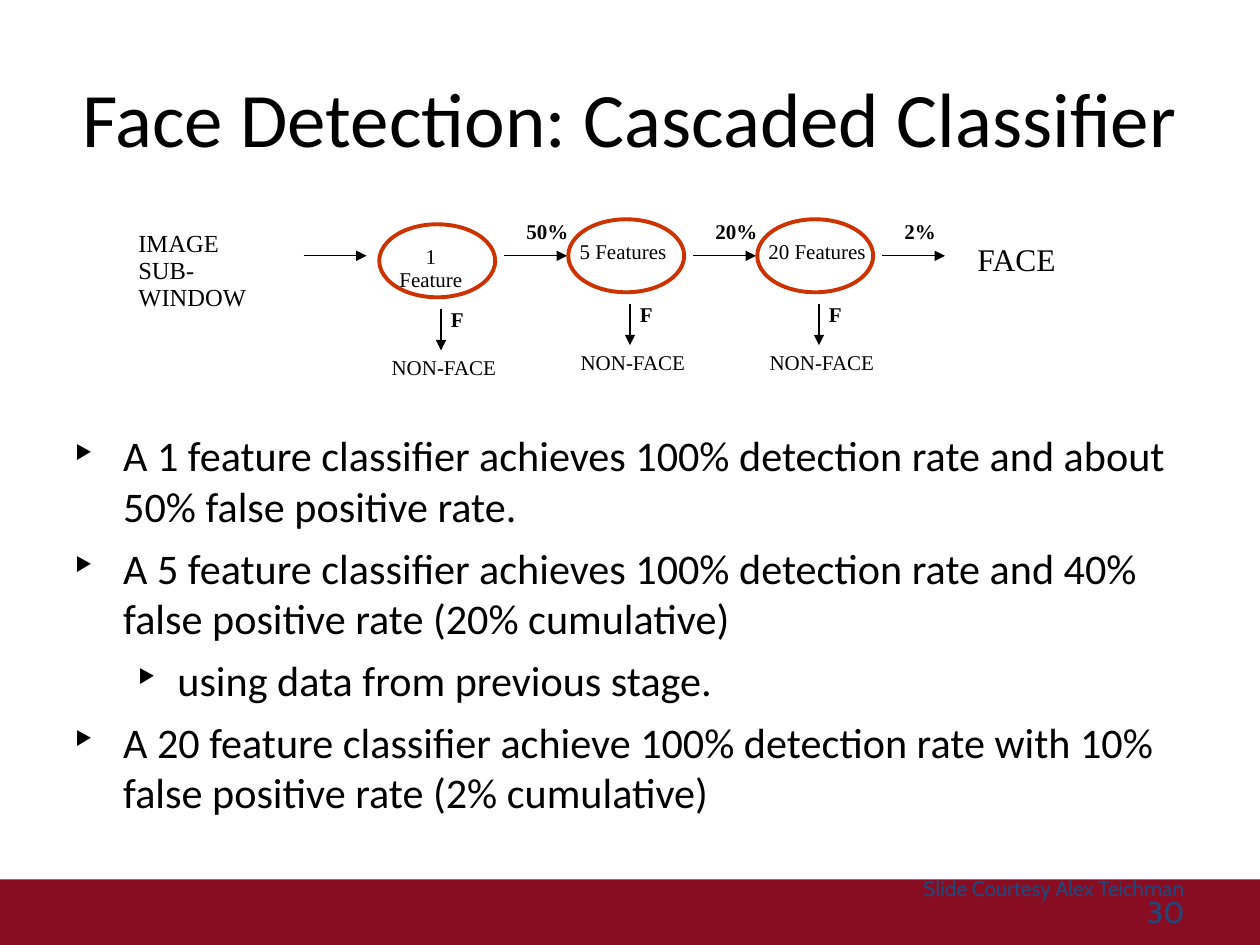
from pptx import Presentation
from pptx.dml.color import RGBColor
from pptx.enum.shapes import MSO_CONNECTOR, MSO_SHAPE
from pptx.enum.text import MSO_ANCHOR, PP_ALIGN
from pptx.oxml.ns import qn
from pptx.util import Inches, Pt
from lxml import etree

LEFT, CENTER, RIGHT = PP_ALIGN.LEFT, PP_ALIGN.CENTER, PP_ALIGN.RIGHT
TOP, MIDDLE = MSO_ANCHOR.TOP, MSO_ANCHOR.MIDDLE
STRAIGHT = MSO_CONNECTOR.STRAIGHT
RECTANGLE, OVAL = MSO_SHAPE.RECTANGLE, MSO_SHAPE.OVAL
color = RGBColor.from_string

presentation = Presentation()
presentation.slide_width, presentation.slide_height = Inches(10), Inches(7.5)
slide = presentation.slides.add_slide(presentation.slide_layouts[5])


def add_label(lines, left, top, width, height, size=12, bold=False, align=LEFT, wrap=False):
    frame = slide.shapes.add_textbox(
        Inches(left), Inches(top), Inches(width), Inches(height)).text_frame
    frame.word_wrap = wrap
    frame.vertical_anchor = TOP
    for index, line in enumerate(lines):
        paragraph = frame.paragraphs[0] if index == 0 else frame.add_paragraph()
        paragraph.text = line
        paragraph.alignment = align
        paragraph.line_spacing = 0.93
        font_format = {"name": "Times New Roman", "size": Pt(size), "bold": bold}
        for name, value in font_format.items():
            setattr(paragraph.font, name, value)
        paragraph.font.color.rgb = color("000000")
    return frame


def add_arrow(x1, y1, x2, y2):
    arrow = slide.shapes.add_connector(STRAIGHT, Inches(x1), Inches(y1), Inches(x2), Inches(y2))
    arrow.line.color.rgb = color("000000")
    arrow.line.width = Pt(0.75)
    etree.SubElement(arrow.line._get_or_add_ln(), qn("a:tailEnd"), type="triangle")
    etree.SubElement(arrow._element.spPr, qn("a:effectLst"))


# Footer band
band = slide.shapes.add_shape(RECTANGLE, 0, Inches(6.98), Inches(10), Inches(0.52))
band.shadow.inherit = False
band.fill.solid()
band.fill.fore_color.rgb = color("890D22")
band.line.fill.background()

# Title
title = slide.shapes.title
title_place = {"left": 0.5, "top": 0.3, "width": 9, "height": 1.25}
for name, value in title_place.items():
    setattr(title, name, Inches(value))
title.text_frame.text = "Face Detection: Cascaded Classifier"
title.text_frame.vertical_anchor = MIDDLE
paragraph = title.text_frame.paragraphs[0]
paragraph.alignment = CENTER
for name, value in {"name": "Calibri", "size": Pt(44)}.items():
    setattr(paragraph.font, name, value)
paragraph.font.color.rgb = color("000000")

# Cascade input and output
add_label(["IMAGE", "SUB-WINDOW"], 1, 1.78, 1.4, 0.57, size=14, wrap=True)
add_arrow(2.41, 2.03, 2.91, 2.03)
add_label(["FACE"], 7.66, 1.88, 0.84, 0.4, size=18)

# Cascade stages: label, label width, pass rate, vertical offset
stages = [
    ("1 Feature", 0.82, "50%", 0.04),
    ("5 Features", 0.89, "20%", 0),
    ("20 Features", 0.97, "2%", 0),
]
for index, (label, label_width, rate, offset) in enumerate(stages):
    left = 3.01 + 1.5 * index
    ellipse = slide.shapes.add_shape(
        OVAL, Inches(left), Inches(1.74 + offset), Inches(0.92), Inches(0.58))
    ellipse.shadow.inherit = False
    ellipse.fill.background()
    ellipse.line.color.rgb = color("CC3300")
    ellipse.line.width = Pt(2.25)
    add_label([label], left - (0.01 if index else 0), 1.86 + offset, label_width, 0.3,
              align=CENTER, wrap=index > 0)

    # Accepted windows go right, rejected ones go down
    add_arrow(left + 0.99, 2.03, left + 1.49, 2.03)
    add_label([rate], left + 1.07, 1.7, 0.53, 0.3, bold=True)
    add_arrow(left + 0.49, 2.41 + offset, left + 0.49, 2.74 + offset)
    add_label(["F"], left + 0.47, 2.36 + offset, 0.3, 0.3, bold=True)
    add_label(["NON-FACE"], left, 2.74 + offset, 1.04, 0.3)

# Bullets: level and text
bullets = [
    (0, "A 1 feature classifier achieves 100% detection rate and about 50% false positive rate."),
    (0, "A 5 feature classifier achieves 100% detection rate and 40% false positive rate "
        "(20% cumulative)"),
    (1, "using data from previous stage."),
    (0, "A 20 feature classifier achieve 100% detection rate with 10% false positive rate "
        "(2% cumulative)"),
]
indents = [(0.38, -0.38), (0.81, -0.31)]
body = slide.shapes.add_textbox(Inches(0.5), Inches(3.36), Inches(9), Inches(3.37)).text_frame
body.word_wrap = True
for index, (level, text) in enumerate(bullets):
    paragraph = body.paragraphs[0] if index == 0 else body.add_paragraph()
    paragraph.text = text
    paragraph.level = level
    paragraph.space_before = Pt(6.4 if index else 0)
    margin, indent = indents[level]
    properties = paragraph._p.get_or_add_pPr()
    properties.set("marL", str(Inches(margin)))
    properties.set("indent", str(Inches(indent)))
    bullet_color = etree.SubElement(properties, qn("a:buClr"))
    etree.SubElement(bullet_color, qn("a:srgbClr"), val="000000")
    etree.SubElement(properties, qn("a:buSzPct"), val="45000")
    etree.SubElement(properties, qn("a:buChar"), char="▶")
    for name, value in {"name": "Calibri", "size": Pt(24.1)}.items():
        setattr(paragraph.font, name, value)
    paragraph.font.color.rgb = color("000000")

# Credit and slide number
footer = slide.shapes.add_textbox(Inches(6.25), Inches(6.95), Inches(3.25), Inches(0.4)).text_frame
footer_format = {"word_wrap": True, "margin_top": 0, "margin_bottom": 0}
for name, value in footer_format.items():
    setattr(footer, name, value)
footer_lines = [("Slide Courtesy Alex Teichman", 12, 1), ("30", 17, 0.8)]
for index, (text, size, spacing) in enumerate(footer_lines):
    paragraph = footer.paragraphs[0] if index == 0 else footer.add_paragraph()
    paragraph.text = text
    paragraph.alignment = RIGHT
    paragraph.line_spacing = spacing
    for name, value in {"name": "Cabin", "size": Pt(size)}.items():
        setattr(paragraph.font, name, value)
    paragraph.font.color.rgb = color("1F497D")

presentation.save("out.pptx")
